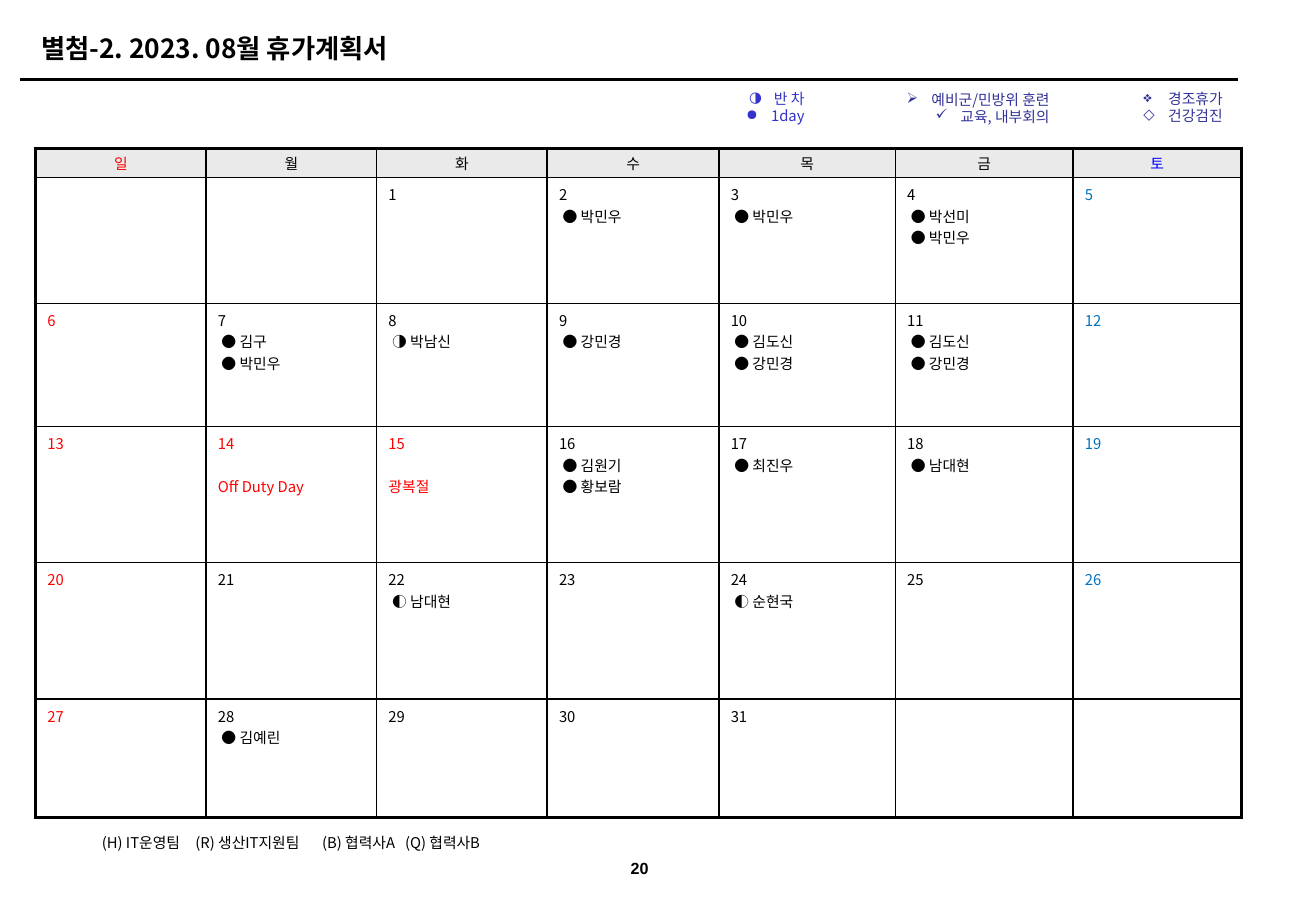
import pptx
import pptx.dml.color
import pptx.enum.shapes
import pptx.enum.text
import pptx.oxml
import pptx.oxml.ns
import pptx.util

Inches = pptx.util.Inches
Pt = pptx.util.Pt
RGBColor = pptx.dml.color.RGBColor
PP_ALIGN = pptx.enum.text.PP_ALIGN
MSO_ANCHOR = pptx.enum.text.MSO_ANCHOR
qn = pptx.oxml.ns.qn

BLACK = RGBColor(0x00, 0x00, 0x00)
RED = RGBColor(0xFF, 0x00, 0x00)
BLUE = RGBColor(0x00, 0x00, 0xFF)
SATURDAY = RGBColor(0x00, 0x70, 0xC0)
VIOLET = RGBColor(0x33, 0x33, 0xCC)
NAVY = RGBColor(0x33, 0x33, 0x99)
HEADER_GREY = RGBColor(0xEA, 0xEA, 0xEA)
KOREAN = "Noto Sans CJK KR"

# Content
TITLE = "별첨-2. 2023. 08월 휴가계획서"
PAGE_NUMBER = "20"
TEAMS = ["(H) IT운영팀", "(R) 생산IT지원팀", "(B) 협력사A", "(Q) 협력사B"]
TEAM_TABS = [0.79, 1.86, 2.56]
# left, top, width, height, right inset, wrap, colour, bullet size, entries
LEGENDS = [
    (6.17, 0.72, 0.72, 0.40, 0.10, False, VIOLET, 100,
     [("◑", "반 차"), ("●", "1day")]),
    (7.41, 0.73, 1.58, 0.39, 0.13, True, NAVY, 100,
     [("➢", "예비군/민방위 훈련"), ("✓", "교육, 내부회의")]),
    (8.59, 0.72, 1.83, 0.39, 0.10, True, NAVY, 100,
     [("❖", "경조휴가"), ("◇", "건강검진")]),
]
WEEKDAYS = ["일", "월", "화", "수", "목", "금", "토"]
FIRST_WEEKDAY, LAST_DAY = 2, 31
HOLIDAYS = {14: "Off Duty Day", 15: "광복절"}
LEAVE = {
    2: ["● 박민우"], 3: ["● 박민우"], 4: ["● 박선미", "● 박민우"],
    7: ["● 김구", "● 박민우"], 8: ["◑ 박남신"], 9: ["● 강민경"],
    10: ["● 김도신", "● 강민경"], 11: ["● 김도신", "● 강민경"],
    16: ["● 김원기", "● 황보람"], 17: ["● 최진우"], 18: ["● 남대현"],
    22: ["◐ 남대현"], 24: ["◐ 순현국"], 28: ["● 김예린"],
}
COLUMN_WIDTHS = [1.44, 1.44, 1.44, 1.45, 1.49, 1.5, 1.42]
ROW_HEIGHTS = [0.25, 1.06, 1.04, 1.15, 1.15, 1]


def add_xml(parent, markup):
    namespace = pptx.oxml.ns.nsdecls("a")
    tag, rest = markup.split(" ", 1)
    parent.append(pptx.oxml.parse_xml(f"{tag} {namespace} {rest}"))


def set_font(paragraph, color, size=9, bold=False, name=KOREAN):
    font = paragraph.font
    font.size, font.bold, font.name = Pt(size), bold, name
    font.color.rgb = color
    defaults = paragraph._p.get_or_add_pPr().find(qn("a:defRPr"))
    add_xml(defaults, f'<a:ea typeface="{name}"/>')


def add_lines(frame, lines):
    """Fill a text frame and return its paragraphs."""
    frame.text = "\n".join(lines)
    return frame.paragraphs


def set_indent(paragraph, left, first=0):
    properties = paragraph._p.get_or_add_pPr()
    properties.set("marL", str(Inches(left)))
    properties.set("indent", str(Inches(first)))
    return properties


def add_text_box(left, top, width, height, wrap=False):
    box = slide.shapes.add_textbox(*map(Inches, (left, top, width, height)))
    box.text_frame.word_wrap = wrap
    return box.text_frame


def style_cell(cell, row, column):
    last = len(WEEKDAYS) - 1
    widths = {"L": 2 if column == 0 else 1, "R": 2 if column == last else 1,
              "T": 2 if row == 0 else 1,
              "B": 1.5 if row == len(ROW_HEIGHTS) - 1 else 1}
    properties = cell._tc.get_or_add_tcPr()
    for side, width in widths.items():
        add_xml(properties, f'<a:ln{side} w="{Pt(width)}"><a:solidFill>'
                f'<a:srgbClr val="{BLACK}"/></a:solidFill></a:ln{side}>')
    if row == 0:
        cell.fill.solid()
        cell.fill.fore_color.rgb = HEADER_GREY
    else:
        cell.fill.background()


prs = pptx.Presentation()
prs.slide_width, prs.slide_height = Inches(11.11), Inches(7.57)
slide = prs.slides.add_slide(prs.slide_layouts[5])

# Title and rule
title = slide.shapes.title
title.left, title.top, title.width, title.height = map(
    Inches, (0.25, 0.22, 9.9, 0.37))
title.text_frame.auto_size = pptx.enum.text.MSO_AUTO_SIZE.NONE
title.text_frame.vertical_anchor = MSO_ANCHOR.MIDDLE
heading = add_lines(title.text_frame, [TITLE])[0]
heading.alignment = PP_ALIGN.LEFT
set_font(heading, BLACK, 16, True)

rule = slide.shapes.add_connector(
    pptx.enum.shapes.MSO_CONNECTOR.STRAIGHT,
    Inches(0.17), Inches(0.67), Inches(10.45), Inches(0.67))
rule.line.color.rgb = BLACK
rule.line.width = Pt(1.5)
add_xml(rule._element.spPr, "<a:effectLst />")

# Legends
for left, top, width, height, inset, wrap, color, size, entries in LEGENDS:
    legend = add_text_box(left, top, width, height, wrap)
    legend.margin_right = Inches(inset)
    lines = add_lines(legend, [label for _, label in entries])
    for line, (mark, _) in zip(lines, entries):
        line.alignment = PP_ALIGN.RIGHT
        line.line_spacing = 0.95
        properties = set_indent(line, 0.21, -0.21)
        add_xml(properties, f'<a:buClr ><a:srgbClr val="{color}"/></a:buClr>')
        add_xml(properties, f'<a:buSzPct val="{size * 1000}"/>')
        add_xml(properties, f'<a:buChar char="{mark}"/>')
        set_font(line, color)

# Calendar
calendar = slide.shapes.add_table(
    len(ROW_HEIGHTS), len(WEEKDAYS), Inches(0.3), Inches(1.25),
    Inches(sum(COLUMN_WIDTHS)), Inches(sum(ROW_HEIGHTS))).table
calendar.first_row = calendar.horz_banding = False
for column, width in zip(calendar.columns, COLUMN_WIDTHS):
    column.width = Inches(width)
for row, height in zip(calendar.rows, ROW_HEIGHTS):
    row.height = Inches(height)

for row in range(len(ROW_HEIGHTS)):
    for column, weekday in enumerate(WEEKDAYS):
        cell = calendar.cell(row, column)
        style_cell(cell, row, column)
        if row == 0:
            cell.vertical_anchor = MSO_ANCHOR.MIDDLE
            cell.margin_top = cell.margin_bottom = Inches(0.03)
            name = add_lines(cell.text_frame, [weekday])[0]
            name.alignment = PP_ALIGN.CENTER
            set_font(name, {0: RED, 6: BLUE}.get(column, BLACK))
            continue
        day = (row - 1) * 7 + column - FIRST_WEEKDAY + 1
        if not 1 <= day <= LAST_DAY:
            continue
        holiday = [HOLIDAYS[day]] if day in HOLIDAYS else []
        lines = add_lines(cell.text_frame,
                          [str(day)] + holiday + LEAVE.get(day, []))
        for line in lines[1:]:
            if holiday:
                line.space_before = Pt(13)
            else:
                set_indent(line, 0.03)
        color = RED if holiday else {0: RED, 6: SATURDAY}.get(column, BLACK)
        for line in lines:
            set_font(line, color)

# Team key
team_key = add_text_box(0.79, 7, 4.2, 0.24, wrap=True)
team_key.margin_left = Inches(0.07)
team_key.vertical_anchor = MSO_ANCHOR.MIDDLE
teams = add_lines(team_key, ["\t".join(TEAMS)])[0]
teams.line_spacing = 0.95
stops = "".join(f'<a:tab pos="{Inches(stop)}" algn="l"/>' for stop in TEAM_TABS)
add_xml(teams._p.get_or_add_pPr(), f"<a:tabLst >{stops}</a:tabLst>")
set_font(teams, BLACK)

# Page number
page = add_text_box(5.13, 7.17, 0.54, 0.31)
page.vertical_anchor = MSO_ANCHOR.MIDDLE
number = add_lines(page, [PAGE_NUMBER])[0]
number.alignment = PP_ALIGN.CENTER
set_font(number, BLACK, 9.8, True, "Arial")

prs.save("out.pptx")
